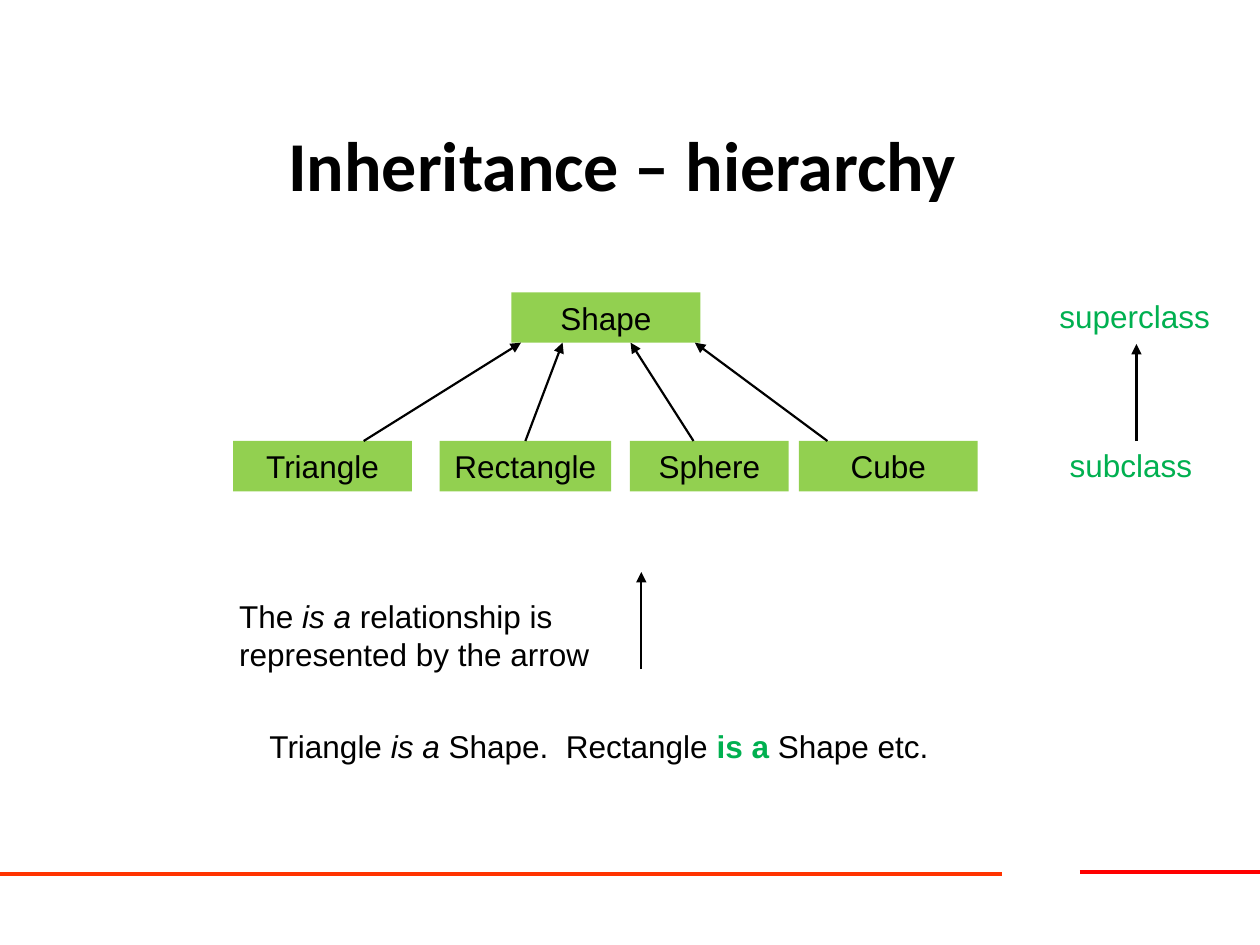
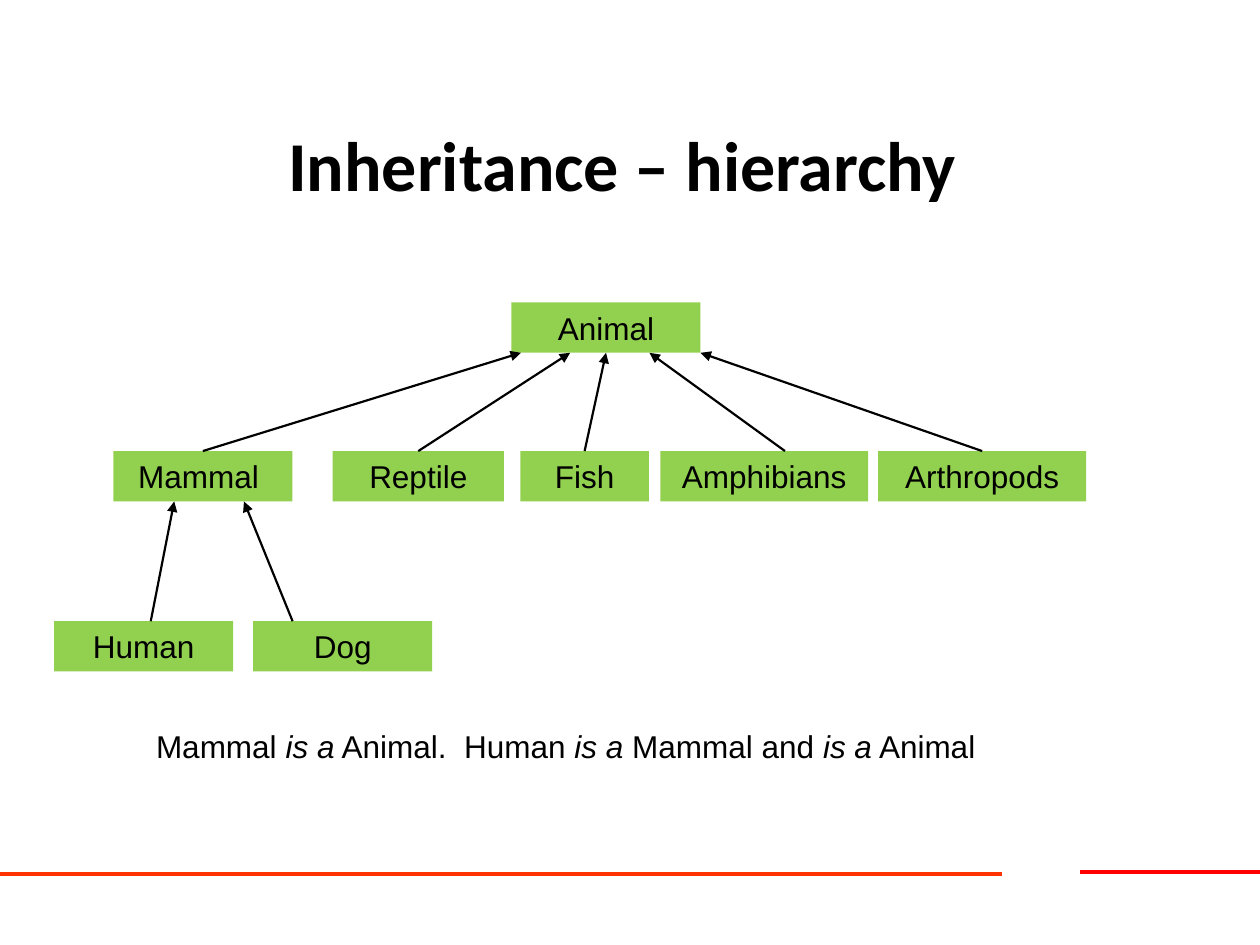
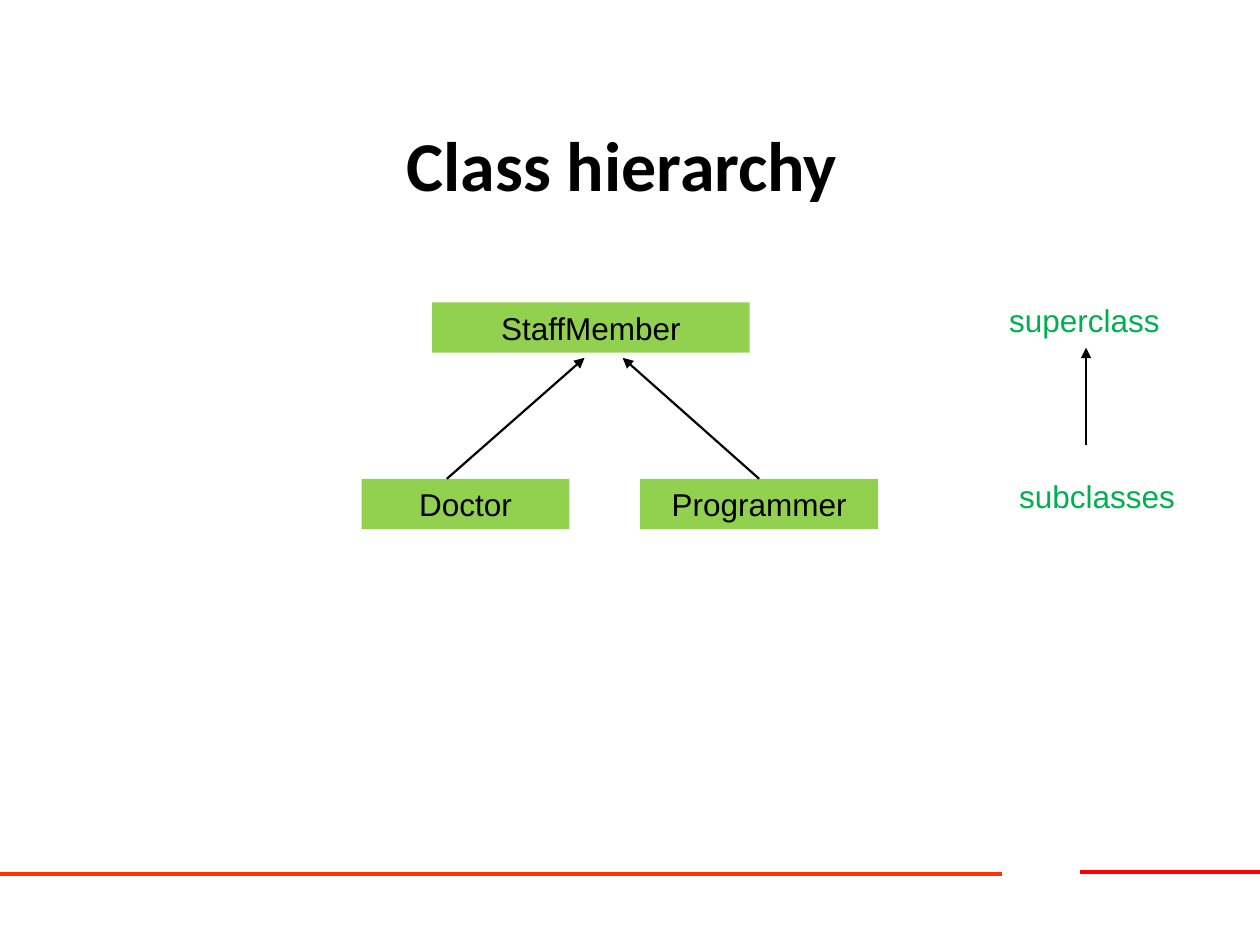
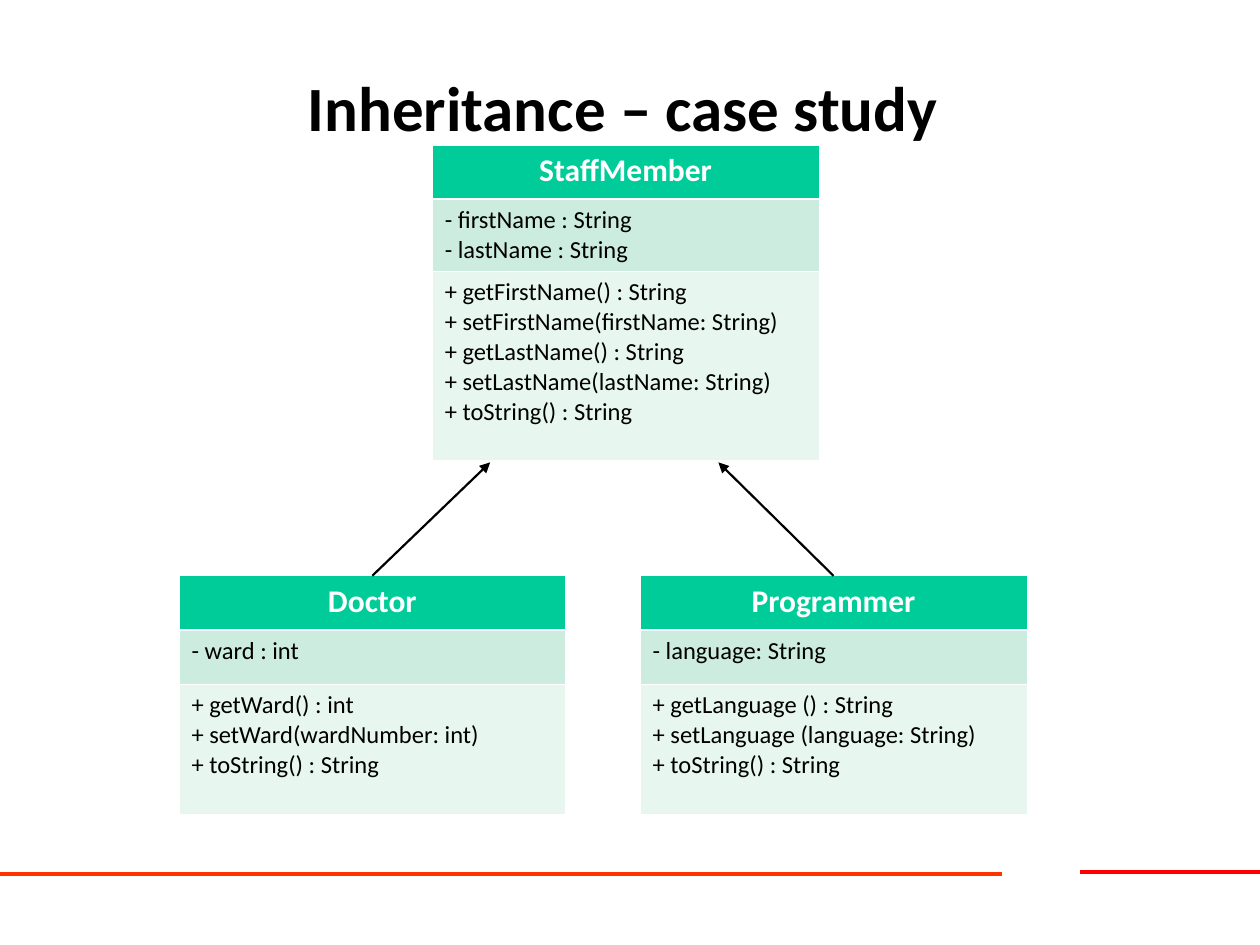
from lxml import etree
from pptx import Presentation
from pptx.dml.color import RGBColor
from pptx.enum.shapes import MSO_CONNECTOR, MSO_SHAPE
from pptx.enum.text import MSO_ANCHOR, MSO_AUTO_SIZE, PP_ALIGN
from pptx.oxml.ns import qn
from pptx.util import Inches, Pt

WIDE, HIGH = Inches(10), Inches(7.5)
COL, ROW = WIDE / 100, HIGH / 75

BLACK = RGBColor(0, 0, 0)
WHITE = RGBColor(255, 255, 255)
RED = RGBColor(255, 0, 0)
FLAME = RGBColor(255, 51, 0)
LIME = RGBColor(146, 208, 80)
GREEN = RGBColor(0, 176, 80)
TEAL = RGBColor(0, 204, 153)
MINT = RGBColor(203, 236, 222)
PALE = RGBColor(231, 246, 239)

LEFT, CENTER = PP_ALIGN.LEFT, PP_ALIGN.CENTER
MIDDLE, FIXED = MSO_ANCHOR.MIDDLE, MSO_AUTO_SIZE.NONE
RECT, LINE = MSO_SHAPE.RECTANGLE, MSO_CONNECTOR.STRAIGHT

BODY = {"name": "Arial", "size": Pt(18)}
CODE = {"name": "Calibri", "size": Pt(14), "bold": False}
HEAD = {"name": "Calibri", "size": Pt(18), "bold": True}
ISA = ("is a", {"italic": True}, BLACK)
STRONG = ("is a", {"bold": True}, GREEN)
TALL = 4


def fit(item, values):
    for name, value in values.items():
        setattr(item, name, value)


def grid(x, y, w, h):
    return [round(n) for n in (x * COL, y * ROW, w * COL, h * ROW)]


def write(para, parts, style, align=LEFT, color=BLACK):
    para.alignment = align
    for part in parts:
        text, extra, tint = (part, {}, color) if isinstance(part, str) else part
        run = para.add_run()
        run.text = text
        fit(run.font, {**style, **extra})
        run.font.color.rgb = tint


def draw(slide, start, end, color=BLACK, width=1.25, arrow=True):
    line = slide.shapes.add_connector(LINE, *map(round, start + end))
    line.line.color.rgb = color
    line.line.width = Pt(width)
    props = line.element.spPr
    if arrow:
        etree.SubElement(props.find(qn("a:ln")), qn("a:tailEnd"), type="triangle")
    etree.SubElement(props, qn("a:effectLst"))
    return line


def link(slide, child, parent, start, tip, gap=0):
    foot = (child.left + child.width * start, child.top)
    head = (parent.left + parent.width * tip, parent.top + parent.height + gap * ROW)
    draw(slide, foot, head)


def bands(deck, slide):
    for x, y, end, color in ((85.7, 69.2, 100, RED), (0, 69.4, 79.5, FLAME)):
        line = draw(slide, (x * COL, y * ROW), (end * COL, y * ROW), color, 2.25, False)
        deck.slide_master.shapes.element.append(line.element)


def page(deck, text, box=(7.5, 6.7, 85, 12.5), size=40):
    slide = deck.slides.add_slide(deck.slide_layouts[5])
    title = slide.shapes.title
    fit(title, dict(zip(("left", "top", "width", "height"), grid(*box))))
    fit(title.text_frame, {"vertical_anchor": MIDDLE, "auto_size": FIXED, "word_wrap": True})
    write(title.text_frame.paragraphs[0], [text], {**HEAD, "size": Pt(size)}, CENTER)
    return slide


def node(slide, name, x, y, w):
    shape = slide.shapes.add_shape(RECT, *grid(x, y, w, TALL))
    shape.shadow.inherit = False
    shape.fill.solid()
    shape.fill.fore_color.rgb = LIME
    shape.line.fill.background()
    write(shape.text_frame.paragraphs[0], [name], BODY, CENTER)
    return shape


def tree(slide, root, y, kids, gap=0):
    shapes = []
    for name, x, w, start, tip in kids:
        shape = node(slide, name, x, y, w)
        link(slide, shape, root, start, tip, gap)
        shapes.append(shape)
    return shapes


def note(slide, box, parts, color=BLACK):
    frame = slide.shapes.add_textbox(*grid(*box)).text_frame
    frame.word_wrap = True
    write(frame.paragraphs[0], parts, BODY, LEFT, color)


def legend(slide, x, y, drop, low):
    note(slide, (x, y, 16.5, TALL), ["superclass"], GREEN)
    note(slide, (x + 0.8, y + drop, 16.5, TALL), [low], GREEN)
    mid = (x + 7.1) * COL
    draw(slide, (mid, (y + 11.9) * ROW), (mid, (y + 4.2) * ROW))


def edge(cell, sides):
    props = cell._tc.get_or_add_tcPr()
    for side, width in zip("LRTB", sides):
        line = etree.SubElement(props, qn(f"a:ln{side}"), w=str(Pt(width)))
        fill = etree.SubElement(line, qn("a:solidFill"))
        etree.SubElement(fill, qn("a:srgbClr"), val=str(WHITE))


def card(slide, x, y, rows, name, fields, calls):
    frame = slide.shapes.add_table(3, 1, *grid(x, y, 30.7, sum(rows)))
    thin, thick = 0.45, 1.47
    looks = (
        ([name], HEAD, CENTER, WHITE, TEAL, (thin, thin, thin, thick)),
        (fields, CODE, LEFT, BLACK, MINT, (thin, thin, thick, thin)),
        (calls, CODE, LEFT, BLACK, PALE, (thin,) * 4),
    )
    for i, (lines, style, align, color, fill, sides) in enumerate(looks):
        frame.table.rows[i].height = round(rows[i] * ROW)
        cell = frame.table.cell(i, 0)
        edge(cell, sides)
        cell.fill.solid()
        cell.fill.fore_color.rgb = fill
        text = cell.text_frame
        for j, line in enumerate(lines):
            para = text.add_paragraph() if j else text.paragraphs[0]
            write(para, [line], style, align, color)
    return frame


def shapes_page(deck):
    slide = page(deck, "Inheritance – hierarchy ")
    bands(deck, slide)
    root = node(slide, "Shape", 40.6, 23.2, 15)
    tree(slide, root, 35, (
        ("Triangle", 18.5, 14.2, 0.73, 0.05),
        ("Rectangle", 34.9, 13.6, 0.5, 0.27),
        ("Sphere", 50, 12.6, 0.4, 0.63),
        ("Cube", 63.4, 14.2, 0.16, 0.97),
    ))
    note(slide, (18, 46.9, 32.3, 7),
         ["The ", ISA, " relationship is represented by the arrow"])
    draw(slide, (50.9 * COL, 53.1 * ROW), (50.9 * COL, 45.4 * ROW))
    note(slide, (20.4, 57.2, 61.1, TALL),
         ["Triangle ", ISA, " Shape.  Rectangle ", STRONG, " Shape etc."])
    legend(slide, 83.1, 23.1, 11.8, "subclass")


def animals_page(deck):
    slide = page(deck, "Inheritance – hierarchy ")
    root = node(slide, "Animal", 40.6, 24, 15)
    mammal = tree(slide, root, 35.8, (
        ("Mammal ", 9, 14.2, 0.5, 0.05),
        ("Reptile", 26.4, 13.6, 0.5, 0.31),
        ("Fish", 41.3, 10.2, 0.5, 0.5),
        ("Amphibians", 52.4, 16.5, 0.6, 0.73),
        ("Arthropods", 69.7, 16.5, 0.5, 1),
    ))[0]
    tree(slide, mammal, 49.3, (
        ("Human", 4.3, 14.2, 0.54, 0.34),
        ("Dog", 20.1, 14.2, 0.22, 0.73),
    ))
    note(slide, (11.4, 57.2, 74.8, TALL),
         ["Mammal ", ISA, " Animal.  Human ", ISA, " Mammal and ", ISA, " Animal"])


def staff_page(deck):
    slide = page(deck, "Class hierarchy ")
    root = node(slide, "StaffMember", 34.3, 24, 25.2)
    tree(slide, root, 38, (
        ("Doctor", 28.7, 16.5, 0.41, 0.48),
        ("Programmer", 50.8, 18.9, 0.5, 0.6),
    ), 0.4)
    legend(slide, 79.1, 23.4, 14, "subclasses")


def case_page(deck):
    slide = page(deck, "Inheritance – case study ", (7.5, 3.6, 85, 9.6), 36)
    staff = card(slide, 34.3, 11.5, (4.3, 5.7, 15), "StaffMember",
                 ["- firstName : String", "- lastName : String"],
                 ["+ getFirstName() : String", "+ setFirstName(firstName: String)",
                  "+ getLastName() : String", "+ setLastName(lastName: String)",
                  "+ toString() : String"])
    rows = (4.3, 4.3, 10.3)
    doctor = card(slide, 14.2, 45.7, rows, "Doctor", ["- ward : int"],
                  ["+ getWard() : int", "+ setWard(wardNumber: int)",
                   "+ toString() : String"])
    coder = card(slide, 50.8, 45.7, rows, "Programmer", ["- language: String"],
                 ["+ getLanguage () : String", "+ setLanguage (language: String)",
                  "+ toString() : String"])
    link(slide, doctor, staff, 0.5, 0.15, 0.2)
    link(slide, coder, staff, 0.5, 0.74, 0.2)


def main():
    deck = Presentation()
    fit(deck, {"slide_width": WIDE, "slide_height": HIGH})
    for build in (shapes_page, animals_page, staff_page, case_page):
        build(deck)
    deck.save("out.pptx")


if __name__ == "__main__":
    main()
